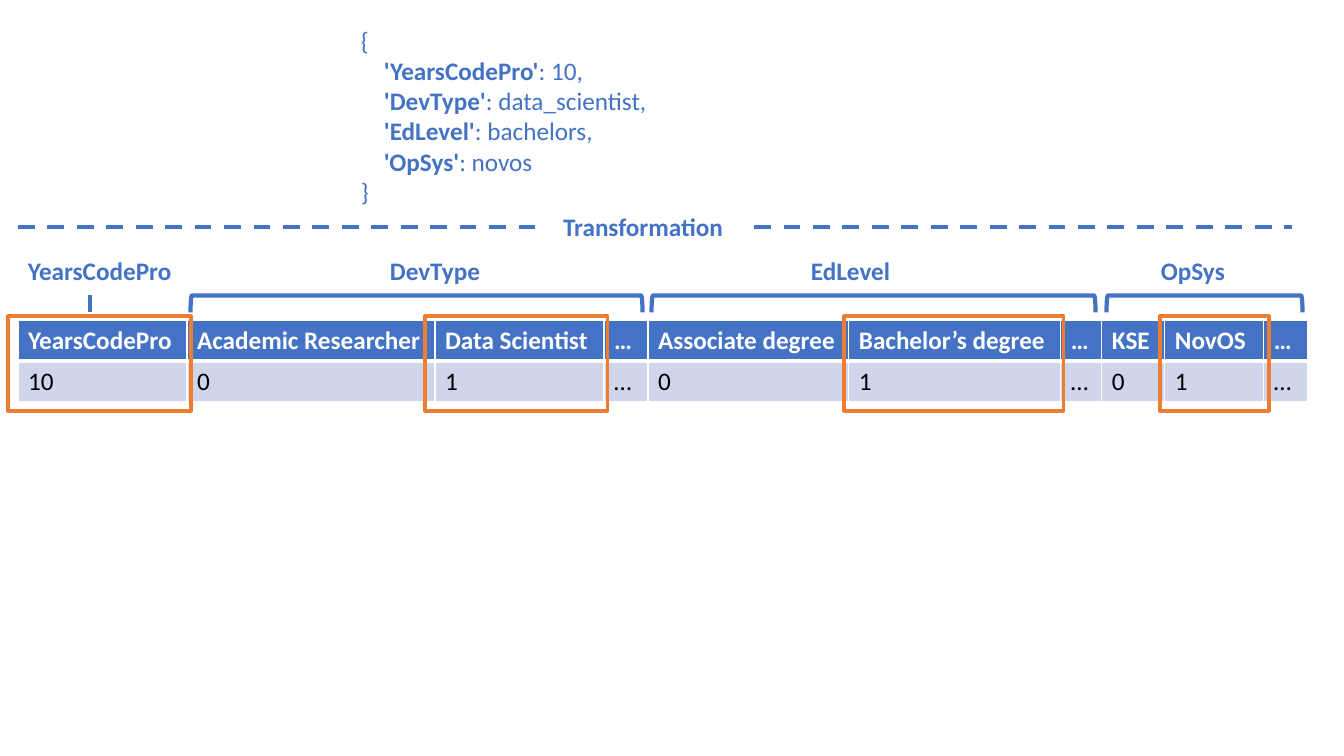
from pptx import Presentation, util as u
from pptx.dml.color import RGBColor
from pptx.enum import dml, shapes, text
from pptx.oxml import parse_xml
from pptx.oxml.ns import nsdecls
from lxml import etree

SCALE = 914400 / 100.8
HUES = {"blue": "4472C4", "pale": "CFD5EA", "gold": "ED7D31",
        "white": "FFFFFF", "black": "000000"}
RGB = {name: RGBColor.from_string(hue) for name, hue in HUES.items()}
FONT = {"name": "Calibri", "size": u.Pt(18)}
FRAME = {"word_wrap": True, "auto_size": text.MSO_AUTO_SIZE.SHAPE_TO_FIT_TEXT}


def px(*sizes):
    """Turn pixels into a list of EMU lengths."""
    return [u.Emu(round(size * SCALE)) for size in sizes]


def write(para, words, hue="blue", bold=True):
    """Add one run of styled words to a paragraph."""
    run = para.add_run()
    run.text = words
    for key, value in {**FONT, "bold": bold}.items():
        setattr(run.font, key, value)
    run.font.color.rgb = RGB[hue]


deck = Presentation()
deck.slide_width, deck.slide_height = px(1344, 756)
slide = deck.slides.add_slide(deck.slide_layouts[6])
draw = slide.shapes

# Encoded table
widths = [169, 248, 169, 44, 201, 212, 41, 63, 99, 44]
rows = [
    ["YearsCodePro", "Academic Researcher", "Data Scientist", "…",
     "Associate degree", "Bachelor’s degree", "…", "KSE", "NovOS", "…"],
    ["10", "0", "1", "…", "0", "1", "…", "0", "1", "…"],
]
looks = [("blue", "white", True, {"L": 1, "R": 1, "T": 1, "B": 3}),
         ("pale", "black", False, {"L": 1, "R": 1, "T": 3, "B": 1})]
grid = draw.add_table(2, len(widths), *px(18, 320, sum(widths), 82)).table
for col, width in zip(grid.columns, widths):
    col.width = px(width)[0]
for r, (row, (fill, ink, bold, edges)) in enumerate(zip(rows, looks)):
    grid.rows[r].height = px(41)[0]
    for c, words in enumerate(row):
        cell = grid.cell(r, c)
        cell.margin_right = px(4)[0]
        write(cell.text_frame.paragraphs[0], words, ink, bold)
        cell.fill.solid()
        cell.fill.fore_color.rgb = RGB[fill]
        props = cell._tc.get_or_add_tcPr()
        for spot, (side, weight) in enumerate(edges.items()):
            props.insert(spot, parse_xml(
                f'<a:ln{side} {nsdecls("a")} w="{u.Pt(weight)}"><a:solidFill>'
                f'<a:srgbClr val="{HUES["white"]}"/></a:solidFill></a:ln{side}>'))

# Brackets over the groups, then frames around the chosen columns
kinds = shapes.MSO_SHAPE
outlines = [(kinds.LEFT_BRACKET, 90, "blue", 3,
             [(408, 78, 17, 452), (865, 82, 17, 444), (1196, 206, 17, 196)]),
            (kinds.RECTANGLE, 0, "gold", 2.25,
             [(left, 316, width, 95) for left, width in
              [(8, 183), (425, 183), (844, 220), (1160, 109)]])]
for kind, turn, hue, weight, spots in outlines:
    for spot in spots:
        shape = draw.add_shape(kind, *px(*spot))
        shape.shadow.inherit = False
        shape.rotation = turn
        shape.fill.background()
        shape.line.color.rgb = RGB[hue]
        shape.line.width = u.Pt(weight)

# Group labels
for left, words in [(18, "YearsCodePro"), (380, "DevType"),
                    (801, "EdLevel"), (1151, "OpSys")]:
    label = draw.add_textbox(*px(left, 250, 208, 40)).text_frame
    for key, value in FRAME.items():
        setattr(label, key, value)
    write(label.paragraphs[0], words)

# Source record
record = draw.add_textbox(*px(351, 20, 658, 194)).text_frame
for key, value in FRAME.items():
    setattr(record, key, value)
write(record.paragraphs[0], "{", bold=False)
for field, value in [("YearsCodePro", "10,"), ("DevType", "data_scientist,"),
                     ("EdLevel", "bachelors,"), ("OpSys", "novos")]:
    para = record.add_paragraph()
    para._p.get_or_add_pPr().set("marL", str(px(23)[0]))
    write(para, f"'{field}'")
    write(para, f": {value}", bold=False)
write(record.add_paragraph(), "}", bold=False)

# Tick under the first label and the dashed divider
for ends, dash in [((90, 295, 90, 312), None),
                   ((18, 227, 1292, 227), dml.MSO_LINE.DASH)]:
    line = draw.add_connector(shapes.MSO_CONNECTOR.STRAIGHT, *px(*ends))
    line.line.color.rgb = RGB["blue"]
    line.line.width = u.Pt(3)
    line.line.dash_style = dash
    etree.SubElement(line._element.spPr,
                     "{http://schemas.openxmlformats.org/drawingml/2006/main}effectLst")

# Divider title
title = draw.add_shape(kinds.RECTANGLE, *px(539, 206, 208, 40))
title.shadow.inherit = False
title.fill.solid()
title.fill.fore_color.rgb = RGB["white"]
title.line.fill.background()
for key, value in FRAME.items():
    setattr(title.text_frame, key, value)
para = title.text_frame.paragraphs[0]
para.alignment = text.PP_ALIGN.CENTER
write(para, "Transformation")

deck.save("out.pptx")
